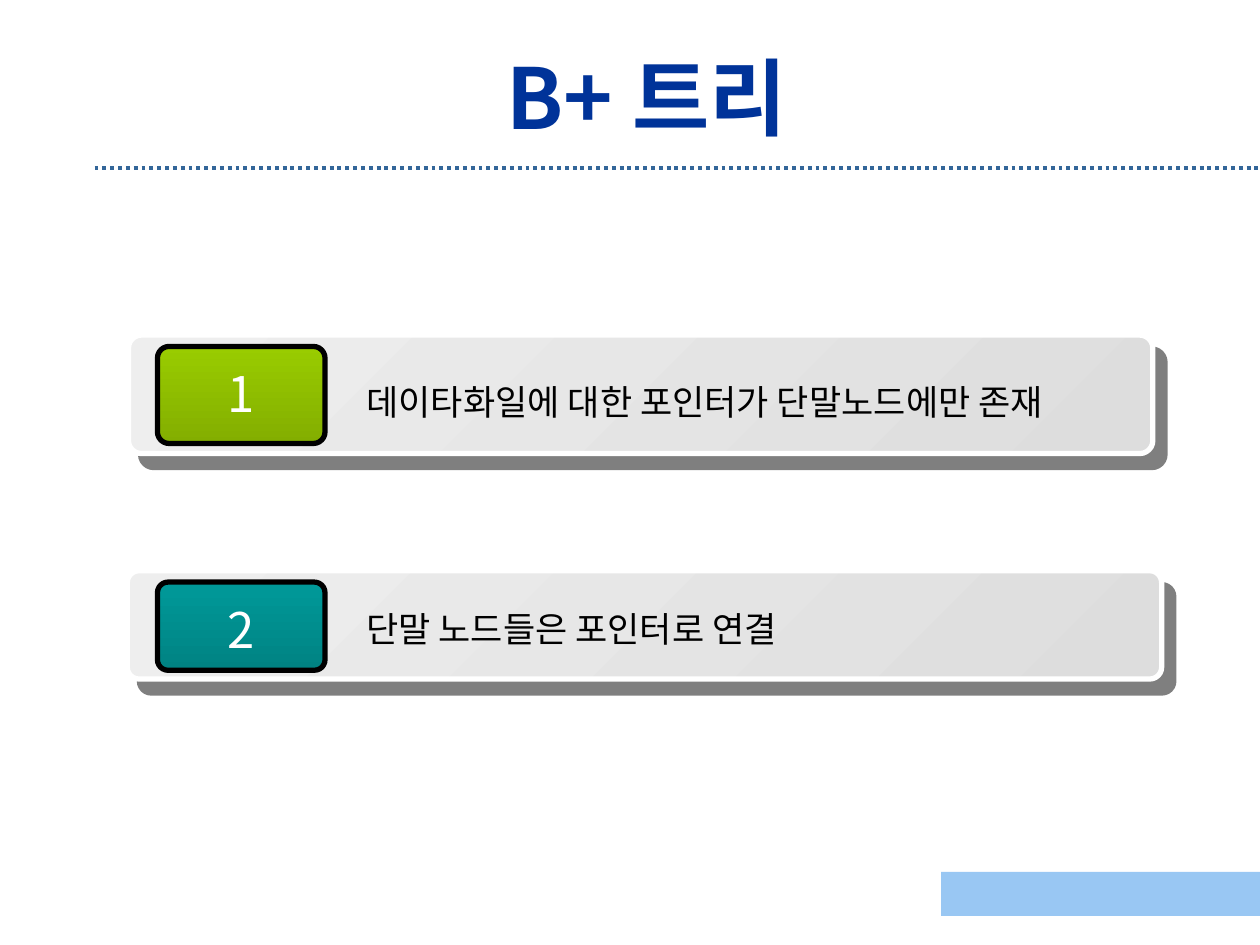
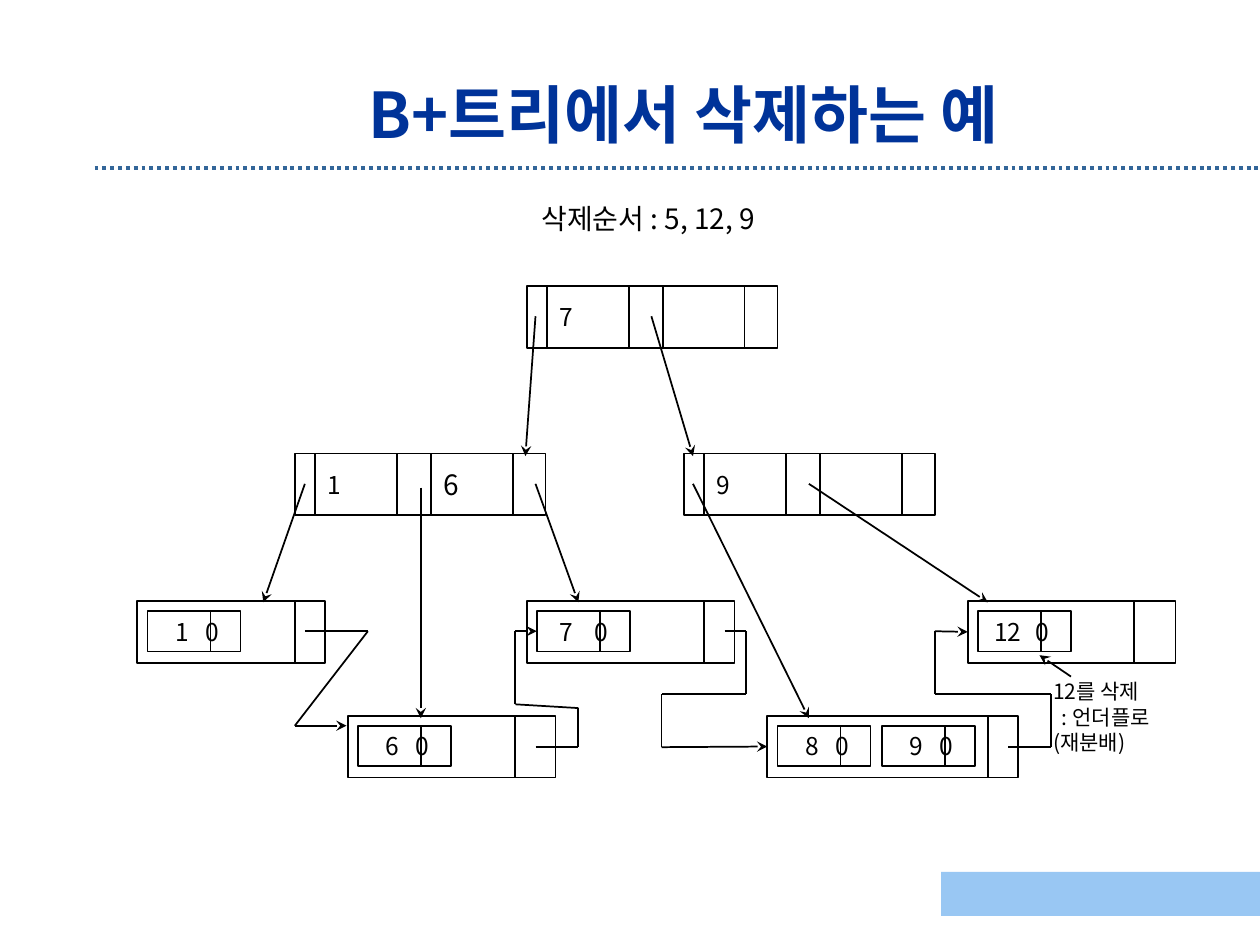
from dataclasses import dataclass
from itertools import pairwise

from lxml import etree
from pptx import Presentation
from pptx.dml.color import RGBColor
from pptx.enum.dml import MSO_LINE
from pptx.enum.shapes import MSO_CONNECTOR, MSO_SHAPE
from pptx.enum.text import MSO_ANCHOR, PP_ALIGN
from pptx.oxml import parse_xml
from pptx.oxml.ns import nsdecls, qn
from pptx.util import Inches, Pt

STRAIGHT = MSO_CONNECTOR.STRAIGHT
RECTANGLE = MSO_SHAPE.RECTANGLE
ROUNDED = MSO_SHAPE.ROUNDED_RECTANGLE
DOTTED = MSO_LINE.ROUND_DOT
LEFT, CENTER = PP_ALIGN.LEFT, PP_ALIGN.CENTER
TOP, MIDDLE = MSO_ANCHOR.TOP, MSO_ANCHOR.MIDDLE
LEFT_SIDE = 1


@dataclass(frozen=True)
class Theme:
    font: str = "Noto Sans CJK KR"
    title: str = "003399"
    rule: str = "336699"
    band: str = "99C7F3"
    ink: str = "000000"
    paper: str = "FFFFFF"
    bar: tuple = ("EEEEEE", "DDDDDD")
    green: tuple = ("99CC00", "83AE00")
    teal: tuple = ("009999", "008383")
    number_size: int = 28
    point_size: int = 20
    order_size: int = 16
    key_size: int = 14
    note_size: int = 12


theme = Theme()


def write(box, text, size, color=theme.ink, bold=False, align=LEFT, anchor=TOP,
          insets=(0.1, 0.05, 0.1, 0.05), wrap=True, tab=None):
    frame = box.text_frame
    frame.word_wrap = wrap
    frame.vertical_anchor = anchor
    frame.margin_left, frame.margin_top, frame.margin_right, frame.margin_bottom = map(Inches, insets)
    for index, line in enumerate(text.split("\n")):
        para = frame.add_paragraph() if index else frame.paragraphs[0]
        para.alignment = align
        if tab:
            stops = etree.SubElement(para._p.get_or_add_pPr(), qn("a:tabLst"))
            etree.SubElement(stops, qn("a:tab"), pos=str(Inches(tab)), algn="l")
        span = para.add_run()
        span.text = line
        span.font.size = Pt(size)
        span.font.bold = bold
        span.font.name = theme.font
        span.font.color.rgb = RGBColor.from_string(color)
        etree.SubElement(span._r.get_or_add_rPr(), qn("a:ea"), typeface=theme.font)
    return frame


def add_box(page, place, fill, line=None, width=1, kind=RECTANGLE, angle=0):
    box = page.shapes.add_shape(kind, *map(Inches, place))
    box.shadow.inherit = False
    if isinstance(fill, tuple):
        box.fill.gradient()
        box.fill.gradient_angle = 360 - angle
        for stop, color in zip(box.fill.gradient_stops, fill):
            stop.color.rgb = RGBColor.from_string(color)
    else:
        box.fill.solid()
        box.fill.fore_color.rgb = RGBColor.from_string(fill)
    if line:
        box.line.color.rgb = RGBColor.from_string(line)
        box.line.width = Pt(width)
    else:
        box.line.fill.background()
    return box


deck = Presentation()
deck.slide_width, deck.slide_height = Inches(10), Inches(7.5)
titles = [
    ("B+ 트리", 48, (0.55, 0.31, 9.17, 1.02)),
    ("B+트리에서 삭제하는 예", 36, (1.87, 0.55, 7.11, 0.7)),
]
for title, size, place in titles:
    page = deck.slides.add_slide(deck.slide_layouts[6])
    rule = page.shapes.add_connector(STRAIGHT, Inches(0.75), Inches(1.33), Inches(10), Inches(1.33))
    rule.line.color.rgb = RGBColor.from_string(theme.rule)
    rule.line.width = Pt(2.25)
    rule.line.dash_style = DOTTED
    add_box(page, (7.47, 6.92, 2.53, 0.35), theme.band)
    write(page.shapes.add_textbox(*map(Inches, place)), title, size,
          color=theme.title, bold=True, align=CENTER)

points_page, tree_page = deck.slides

glint_outline = [(1.87, 2.64), (1.82, 2.68), (1.8, 2.75), (1.8, 3.26), (1.83, 3.21),
                 (1.86, 3.02), (1.98, 2.81), (2.2, 2.69), (2.4, 2.65), (2.45, 2.62)]
builder = points_page.shapes.build_freeform(1.93, 2.62, scale=Inches(1))
builder.add_line_segments(glint_outline, close=True)
glint = builder.convert_to_shape()
glint.shadow.inherit = False
glint.line.fill.background()
glint.fill.background()
no_fill = glint._element.spPr.find(qn("a:noFill"))
no_fill.getparent().replace(no_fill, parse_xml(
    f'<a:gradFill {nsdecls("a")}><a:gsLst>'
    '<a:gs pos="0"><a:srgbClr val="D0E5B5"/></a:gs>'
    '<a:gs pos="50000"><a:srgbClr val="99CC00"><a:alpha val="0"/></a:srgbClr></a:gs>'
    '<a:gs pos="100000"><a:srgbClr val="D0E5B5"/></a:gs>'
    '</a:gsLst><a:lin ang="2700000" scaled="0"/></a:gradFill>'))

points = [
    ("1", "데이타화일에 대한 포인터가 단말노드에만 존재", theme.green, (1.02, 2.66, 8.13, 0.94), 0.77, 2.97),
    ("2", "단말 노드들은 포인터로 연결", theme.teal, (1.01, 4.53, 8.21, 0.86), 0.7, 4.77),
]
for number, point, colors, place, badge_height, text_top in points:
    bar = add_box(points_page, place, theme.bar, theme.paper, 3, ROUNDED, 45)
    bar.adjustments[0] = 0.11
    bar._element.spPr.find(qn("a:effectLst")).append(parse_xml(
        f'<a:outerShdw {nsdecls("a")} blurRad="0" dist="{Pt(10.6)}" dir="{49 * 60000}" algn="ctr" '
        'rotWithShape="0"><a:srgbClr val="000000"><a:alpha val="50000"/></a:srgbClr></a:outerShdw>'))
    badge = add_box(points_page, (1.25, place[1] + 0.09, 1.33, badge_height), colors,
                    theme.ink, 3, ROUNDED, 90)
    badge.adjustments[0] = 0.12
    write(badge, number, theme.number_size, color=theme.paper, align=CENTER,
          insets=(0.1, 0.11, 0.1, 0))
    label = points_page.shapes.add_textbox(Inches(2.81), Inches(text_top), Inches(6.51), Inches(0.44))
    write(label, point, theme.point_size)

node_height = 0.49
inner_nodes = [
    (4.18, 2.27, [("7", 14), None]),
    (2.34, 3.6, [("1", 14), ("6", 16)]),
    (5.43, 3.6, [("9", 14), None]),
]
for left, top, keys in inner_nodes:
    add_box(tree_page, (left, top, 1.99, node_height), theme.paper, theme.ink)
    for index, key in enumerate(keys):
        cell = add_box(tree_page, (left + 0.16 + 0.92 * index, top, 0.65, node_height),
                       theme.paper, theme.ink)
        if key:
            write(cell, *key, anchor=MIDDLE)

lines = []
leaf_boxes, entry_boxes = {}, {}
leaves = [
    (1.09, 4.77, 1.49, 2.34, [("1", 0.22)]),
    (2.76, 5.68, 1.65, 4.09, [("6", 0.22)]),
    (4.18, 4.77, 1.65, 5.59, [("7", 0.18)]),
    (6.09, 5.68, 1.99, 7.84, [("8", 0.22), ("9", 0.22)]),
    (7.68, 4.77, 1.65, 9, [("12", 0.13)]),
]
for left, top, width, pointer_left, entries in leaves:
    leaf = add_box(tree_page, (left, top, width, node_height), theme.paper, theme.ink)
    lines.append(([(pointer_left, top), (pointer_left, top + node_height)], False, None))
    for index, (key, indent) in enumerate(entries):
        entry_left, entry_top = left + 0.08 + 0.83 * index, top + 0.08
        entry = add_box(tree_page, (entry_left, entry_top, 0.74, 0.32), theme.paper, theme.ink)
        write(entry, f"{key}\t0", theme.key_size, anchor=MIDDLE,
              insets=(indent, 0, 0, 0), tab=0.46 - indent)
        split = entry_left + 0.5
        lines.append(([(split, entry_top), (split, entry_top + 0.32)], False, None))
        leaf_boxes[key], entry_boxes[key] = leaf, entry

lines += [
    ([(4.25, 2.51), (4.17, 3.62)], True, None),
    ([(5.17, 2.51), (5.5, 3.62)], True, None),
    ([(2.42, 3.84), (2.09, 4.78)], True, None),
    ([(3.34, 3.87), (3.34, 5.7)], True, None),
    ([(4.25, 3.84), (4.59, 4.78)], True, None),
    ([(5.5, 3.84), (6.42, 5.7)], True, None),
    ([(6.42, 3.84), (7.84, 4.78)], True, None),
    ([(2.42, 5.01), (2.92, 5.01), (2.34, 5.76), (2.75, 5.76)], True, None),
    ([(4.25, 5.93), (4.59, 5.93), (4.59, 5.62), (4.09, 5.59), (4.09, 5.01), (4.25, 5.01)],
     True, entry_boxes["7"]),
    ([(5.75, 5.01), (5.92, 5.01), (5.92, 5.51), (5.25, 5.51), (5.25, 5.93), (6.09, 5.93)],
     True, leaf_boxes["8"]),
    ([(8, 5.93), (8.34, 5.93), (8.34, 5.51), (7.42, 5.51), (7.42, 5.01), (7.67, 5.01)],
     True, leaf_boxes["12"]),
    ([(8.5, 5.37), (8.25, 5.2)], True, None),
]
for stops, has_arrow, target in lines:
    for start, end in pairwise(stops):
        segment = tree_page.shapes.add_connector(STRAIGHT, *map(Inches, start + end))
        segment.line.color.rgb = RGBColor.from_string(theme.ink)
        segment.line.width = Pt(1)
    if has_arrow:
        etree.SubElement(segment.line._get_or_add_ln(), qn("a:tailEnd"), type="stealth")
    if target:
        segment.end_connect(target, LEFT_SIDE)

note_box = tree_page.shapes.add_textbox(Inches(8.26), Inches(5.34), Inches(1.1), Inches(0.7))
note = write(note_box, "12를 삭제\n: 언더플로\n(재분배)", theme.note_size, wrap=False)
note.paragraphs[1]._p.get_or_add_pPr().set("marL", str(Inches(0.07)))
order = tree_page.shapes.add_textbox(Inches(4.2), Inches(1.55), Inches(2.02), Inches(0.37))
write(order, "삭제순서 : 5, 12, 9", theme.order_size, wrap=False)

for page in deck.slides:
    for connector in page._element.iter(qn("p:cxnSp")):
        etree.SubElement(connector.spPr, qn("a:effectLst"))

deck.save("out.pptx")
